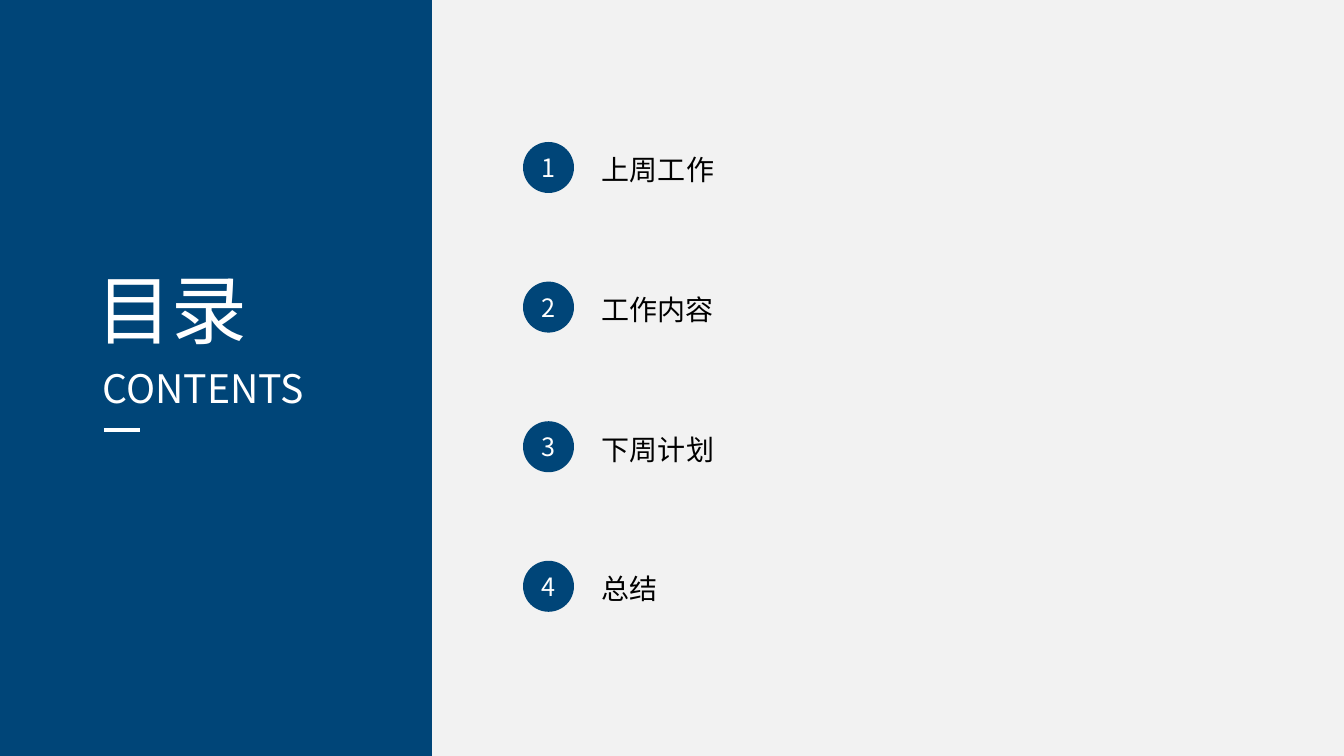
from pptx import Presentation
from pptx.dml.color import RGBColor
from pptx.enum.shapes import MSO_CONNECTOR, MSO_SHAPE
from pptx.enum.text import MSO_ANCHOR, MSO_AUTO_SIZE, PP_ALIGN
from pptx.oxml.ns import qn
from pptx.util import Pt
from lxml.etree import SubElement

TITLE = "目录"
SUBTITLE = "CONTENTS"
ITEMS = [("上周工作", 318), ("工作内容", 292), ("下周计划", 376), ("总结", 163)]

FONT = "Noto Sans CJK SC"
NAVY, WHITE, BLACK, GREY = "004578", "FFFFFF", "000000", "F2F2F2"
W, H = 1344, 756
PANEL_W = 432
DOT_X, DOT_Y, DOT_D = 523, 142, 51
LABEL_X, LABEL_Y, LABEL_H = 592, 148, 45
STEP = 139.6


def px(n):
    return round(n * 12192000 / W)


def box(*lengths):
    return [px(n) for n in lengths]


def color(value):
    return RGBColor.from_string(value)


def write(shape, text, size, value, align, **frame):
    tf = shape.text_frame
    options = {"word_wrap": True, "auto_size": MSO_AUTO_SIZE.NONE,
               "vertical_anchor": MSO_ANCHOR.TOP}
    for name, setting in (options | frame).items():
        setattr(tf, name, setting)
    p = tf.paragraphs[0]
    p.alignment = align
    r = p.add_run()
    r.text = text
    for name, setting in {"name": FONT, "size": Pt(size), "bold": False}.items():
        setattr(r.font, name, setting)
    r.font.color.rgb = color(value)
    SubElement(r.font._element, qn("a:ea"), typeface=FONT)


def solid(s, kind, *lengths):
    sp = s.shapes.add_shape(kind, *box(*lengths))
    sp.shadow.inherit = False
    sp.fill.solid()
    sp.fill.fore_color.rgb = color(NAVY)
    sp.line.fill.background()
    return sp


def add_heading(s):
    title = s.shapes.title
    s.shapes.element.append(title.element)
    for name, n in zip(("left", "top", "width", "height"), (86, 258, 179, 102)):
        setattr(title, name, px(n))
    write(title, TITLE, 54, WHITE, PP_ALIGN.JUSTIFY)
    subtitle = s.shapes.add_textbox(*box(93, 359, 247, 57))
    write(subtitle, SUBTITLE, 28, WHITE, PP_ALIGN.JUSTIFY)
    rule = s.shapes.add_connector(MSO_CONNECTOR.STRAIGHT, *box(104, 430, 140, 430))
    rule.line.color.rgb = color(WHITE)
    rule.line.width = Pt(2.25)
    SubElement(rule._element.spPr, qn("a:effectLst"))


def add_items(s):
    for i, (label, width) in enumerate(ITEMS):
        dot = solid(s, MSO_SHAPE.OVAL, DOT_X, DOT_Y + i * STEP, DOT_D, DOT_D)
        write(dot, str(i + 1), 18, WHITE, PP_ALIGN.CENTER,
              vertical_anchor=MSO_ANCHOR.MIDDLE, margin_left=0, margin_right=0,
              margin_top=0, margin_bottom=0)
        tb = s.shapes.add_textbox(*box(LABEL_X, LABEL_Y + i * STEP, width, LABEL_H))
        write(tb, label, 20, BLACK, PP_ALIGN.LEFT)


def main():
    prs = Presentation()
    prs.slide_width, prs.slide_height = box(W, H)
    s = prs.slides.add_slide(prs.slide_layouts[5])
    s.background.fill.solid()
    s.background.fill.fore_color.rgb = color(GREY)
    solid(s, MSO_SHAPE.RECTANGLE, 0, 0, PANEL_W, H)
    add_heading(s)
    add_items(s)
    prs.save("out.pptx")


if __name__ == "__main__":
    main()
